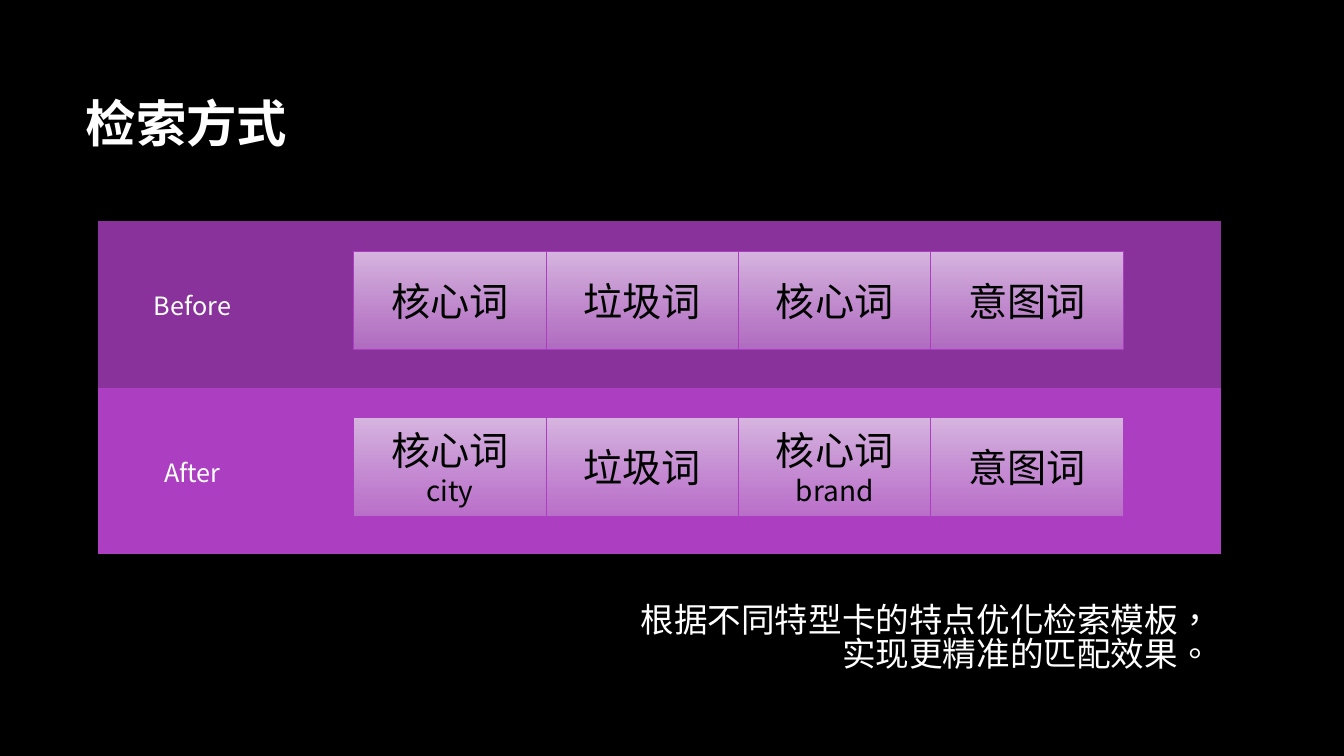
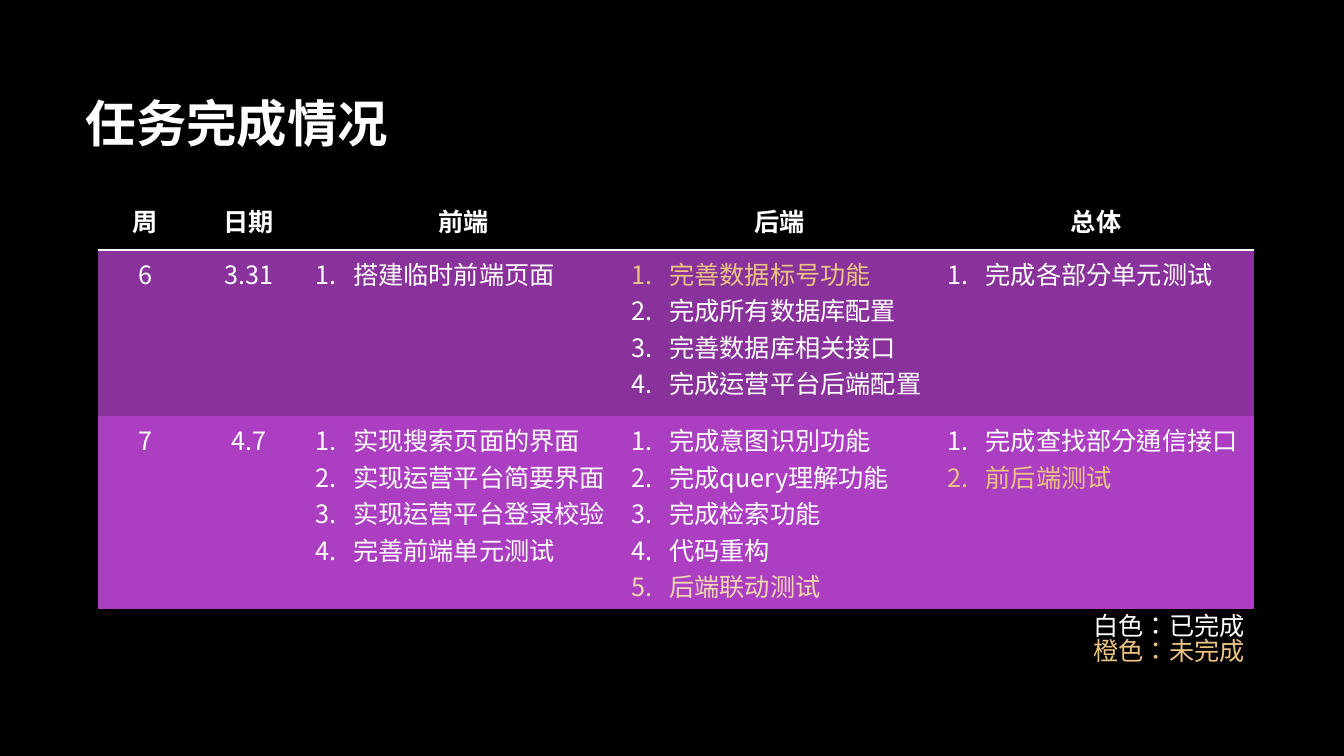
from collections.abc import Sequence
from dataclasses import dataclass

from lxml.etree import SubElement
from pptx import Presentation
from pptx.dml.color import RGBColor
from pptx.enum.shapes import MSO_SHAPE
from pptx.enum.text import MSO_ANCHOR as ANCHOR, PP_ALIGN as ALIGN
from pptx.oxml.ns import qn
from pptx.util import Pt

FONT = "Noto Sans CJK JP"
COLORS = {
    "black": "000000",
    "white": "FFFFFF",
    "dark_purple": "8A329B",
    "purple": "AC3EC1",
    "card_top": "D8B7E1",
    "card_bottom": "BF82CE",
    "orange": "EBC483",
    "pale_orange": "F1D8AD",
}
BANDS = ("dark_purple", "purple")
NO_STYLE = "{2D5ABB26-0587-4C30-8999-92F81FD0307C}"

TABLE_LEFT = 70
BAND_H = 119
SEARCH_TOP = 158
CARD_LEFT, CARD_W, CARD_H, CARD_INSET = 252.7, 137.4, 70.5, 21.4


@dataclass
class Line:
    text: str
    color: str | None = None
    size: float | None = None


@dataclass
class Box:
    left: float
    top: float
    width: float
    height: float

    def lengths(self) -> tuple:
        return Pt(self.left), Pt(self.top), Pt(self.width), Pt(self.height)


@dataclass
class Week:
    number: str
    date: str
    tasks: tuple[list[Line], ...]


SEARCH_ROWS = {
    "Before": ([Line("核心词")], [Line("垃圾词")], [Line("核心词")], [Line("意图词")]),
    "After": (
        [Line("核心词"), Line("city", size=20)],
        [Line("垃圾词")],
        [Line("核心词"), Line("brand", size=20)],
        [Line("意图词")],
    ),
}
TASK_HEADS = ("周", "日期", "前端", "后端", "总体")
WEEKS = (
    Week("6", "3.31", (
        [Line("搭建临时前端页面")],
        [
            Line("完善数据标号功能", "orange"),
            Line("完成所有数据库配置"),
            Line("完善数据库相关接口"),
            Line("完成运营平台后端配置"),
        ],
        [Line("完成各部分单元测试")],
    )),
    Week("7", "4.7", (
        [
            Line("实现搜索页面的界面"),
            Line("实现运营平台简要界面"),
            Line("实现运营平台登录校验"),
            Line("完善前端单元测试"),
        ],
        [
            Line("完成意图识別功能"),
            Line("完成query理解功能"),
            Line("完成检索功能"),
            Line("代码重构"),
            Line("后端联动测试", "pale_orange"),
        ],
        [Line("完成查找部分通信接口"), Line("前后端测试", "orange")],
    )),
)


def rgb(name: str) -> RGBColor:
    return RGBColor.from_string(COLORS[name])


def number_paragraph(p) -> None:
    pPr = p._p.get_or_add_pPr()
    pPr.set("marL", str(Pt(27)))
    pPr.set("indent", str(Pt(-27)))
    SubElement(pPr, qn("a:buAutoNum"), type="arabicPeriod")


def write(tf, lines: Sequence[Line], *, size: float = 18, color: str = "white",
          bold: bool = False, align=ALIGN.LEFT, numbered: bool = False,
          spacing: float | None = None) -> None:
    """Fill a text frame, one paragraph per line."""
    for i, line in enumerate(lines):
        p = tf.add_paragraph() if i else tf.paragraphs[0]
        p.alignment = align
        if spacing:
            p.line_spacing = spacing
        if numbered:
            number_paragraph(p)
        r = p.add_run()
        r.text = line.text
        r.font.name = FONT
        r.font.size = Pt(line.size or size)
        r.font.bold = bold
        r.font.color.rgb = rgb(line.color or color)
        rPr = r.font._element
        rPr.set("lang", "zh-TW")
        SubElement(rPr, qn("a:ea"), typeface=FONT)


def add_titled_slide(prs, title: str):
    slide = prs.slides.add_slide(prs.slide_layouts.get_by_name("Title Only"))
    sp = slide.shapes.title
    sp.left, sp.top, sp.width, sp.height = Box(54, 48, 798, 79).lengths()
    sp.text_frame.vertical_anchor = ANCHOR.MIDDLE
    write(sp.text_frame, [Line(title)], size=36, bold=True)
    return slide


def add_plain_table(slide, top: float, cols: Sequence[float], rows: Sequence[float]):
    box = Box(TABLE_LEFT, top, sum(cols), sum(rows))
    frame = slide.shapes.add_table(len(rows), len(cols), *box.lengths())
    table = frame.table
    table.first_row = table.horz_banding = False
    table._tbl.tblPr.find(qn("a:tableStyleId")).text = NO_STYLE
    for column, width in zip(table.columns, cols):
        column.width = Pt(width)
    for row, height in zip(table.rows, rows):
        row.height = Pt(height)
    return table


def fill_cell(cell, fill: str, lines: Sequence[Line] = (), *, anchor=ANCHOR.TOP, **fmt) -> None:
    cell.fill.solid()
    cell.fill.fore_color.rgb = rgb(fill)
    cell.vertical_anchor = anchor
    write(cell.text_frame, lines, **fmt)


def underline_cell(cell, color: str, width: float) -> None:
    ln = SubElement(cell._tc.get_or_add_tcPr(), qn("a:lnB"), w=str(Pt(width)))
    SubElement(SubElement(ln, qn("a:solidFill")), qn("a:srgbClr"), val=COLORS[color])


def add_card(slide, box: Box, lines: Sequence[Line]) -> None:
    sp = slide.shapes.add_shape(MSO_SHAPE.RECTANGLE, *box.lengths())
    sp.shadow.inherit = False
    sp.fill.gradient()
    sp.fill.gradient_angle = 270
    for stop, color in zip(sp.fill.gradient_stops, ("card_top", "card_bottom")):
        stop.color.rgb = rgb(color)
    bottom_color = list(sp._element.spPr.iter(qn("a:srgbClr")))[-1]
    SubElement(bottom_color, qn("a:alpha"), val="74000")
    sp.line.color.rgb = rgb("purple")
    sp.line.width = Pt(0.75)
    sp.text_frame.vertical_anchor = ANCHOR.MIDDLE
    write(sp.text_frame, lines, size=28, color="black", align=ALIGN.CENTER)


def add_note(slide, box: Box, lines: Sequence[Line], *, wrap: bool = True, **fmt) -> None:
    tf = slide.shapes.add_textbox(*box.lengths()).text_frame
    tf.word_wrap = wrap
    write(tf, lines, spacing=0.84, **fmt)


def build_search_slide(prs) -> None:
    slide = add_titled_slide(prs, "检索方式")
    table = add_plain_table(slide, SEARCH_TOP, (135, 667.5), (BAND_H, BAND_H))
    for i, (label, cards) in enumerate(SEARCH_ROWS.items()):
        fill_cell(table.cell(i, 0), BANDS[i], [Line(label)],
                  anchor=ANCHOR.MIDDLE, align=ALIGN.CENTER)
        fill_cell(table.cell(i, 1), BANDS[i])
        top = SEARCH_TOP + i * BAND_H + CARD_INSET
        for j, lines in enumerate(cards):
            add_card(slide, Box(CARD_LEFT + j * CARD_W, top, CARD_W, CARD_H), lines)
    add_note(slide, Box(82, 429, 790.5, 65.5),
             [Line("根据不同特型卡的特点优化检索模板，"), Line("实现更精准的匹配效果。")],
             size=24, align=ALIGN.RIGHT)


def build_task_slide(prs) -> None:
    slide = add_titled_slide(prs, "任务完成情况")
    table = add_plain_table(slide, 136, (67.5, 80.5, 226, 226, 226), (42.5, BAND_H, BAND_H))
    for j, head in enumerate(TASK_HEADS):
        cell = table.cell(0, j)
        underline_cell(cell, "white", 2)
        fill_cell(cell, "black", [Line(head)], anchor=ANCHOR.MIDDLE,
                  bold=True, align=ALIGN.CENTER)
    for i, (week, band) in enumerate(zip(WEEKS, BANDS), start=1):
        for j, text in enumerate((week.number, week.date)):
            fill_cell(table.cell(i, j), band, [Line(text)], align=ALIGN.CENTER)
        for j, tasks in enumerate(week.tasks, start=2):
            fill_cell(table.cell(i, j), band, tasks, numbered=True)
    add_note(slide, Box(774, 435.6, 124, 51),
             [Line("白色：已完成"), Line("橙色：未完成", "orange")], wrap=False)


def main() -> None:
    prs = Presentation()
    prs.slide_width, prs.slide_height = Pt(960), Pt(540)
    background = prs.slide_master.background.fill
    background.solid()
    background.fore_color.rgb = rgb("black")
    build_search_slide(prs)
    build_task_slide(prs)
    prs.save("out.pptx")


if __name__ == "__main__":
    main()
